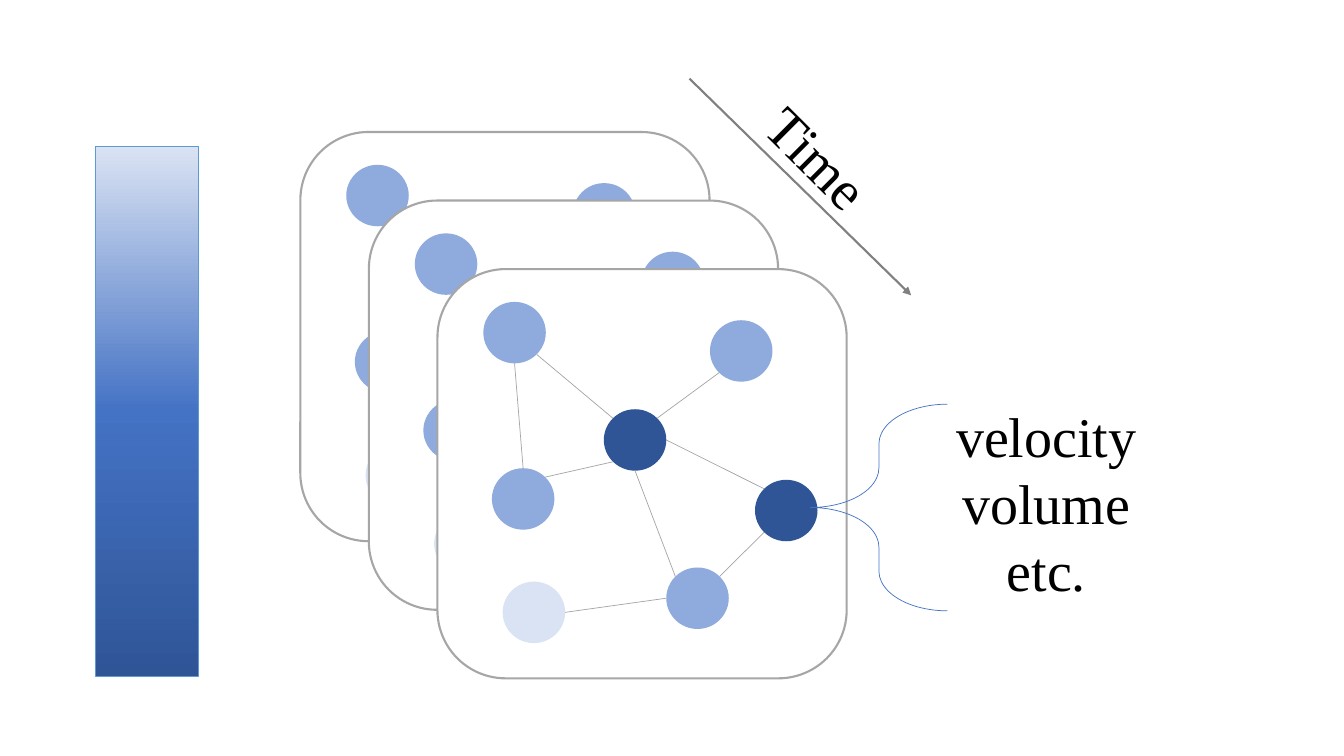
"""Build a slide of stacked network panels that change over time."""
import copy
import dataclasses
import enum

import pptx
import pptx.dml.color
import pptx.enum.shapes
import pptx.enum.text
import pptx.oxml.ns
import pptx.oxml.xmlchemy
import pptx.shapes.autoshape
import pptx.shapes.connector
import pptx.slide
import pptx.util

RGBColor = pptx.dml.color.RGBColor
MSO_SHAPE = pptx.enum.shapes.MSO_SHAPE
PP_ALIGN = pptx.enum.text.PP_ALIGN
OxmlElement = pptx.oxml.xmlchemy.OxmlElement
qn = pptx.oxml.ns.qn

BLACK = RGBColor(0x00, 0x00, 0x00)
WHITE = RGBColor(0xFF, 0xFF, 0xFF)
PALE = RGBColor(0xDA, 0xE3, 0xF3)
LIGHT = RGBColor(0x8F, 0xAA, 0xDC)
MID = RGBColor(0x44, 0x72, 0xC4)
DARK = RGBColor(0x2F, 0x55, 0x97)
BAR_EDGE = RGBColor(0x5B, 0x9B, 0xD5)
PANEL_EDGE = RGBColor(0xA6, 0xA6, 0xA6)
LINK_GREY = RGBColor(0xA5, 0xA5, 0xA5)
ARROW_GREY = RGBColor(0x80, 0x80, 0x80)

COLS, ROWS = 80, 45
CELL = pptx.util.Inches(7.5) / ROWS
PANEL_SIZE = 24.36
PANEL_STEP = 4.08
PANEL_LEFT, PANEL_TOP = 17.88, 7.86
NODE_W, NODE_H = 3.72, 3.66
DIAGONAL = 0.71


class Side(enum.Enum):
    TOP = (0, -1)
    RIGHT = (1, 0)
    BOTTOM = (0, 1)
    LEFT = (-1, 0)
    TOP_LEFT = (-DIAGONAL, -DIAGONAL)
    TOP_RIGHT = (DIAGONAL, -DIAGONAL)
    BOTTOM_LEFT = (-DIAGONAL, DIAGONAL)
    BOTTOM_RIGHT = (DIAGONAL, DIAGONAL)


@dataclasses.dataclass(frozen=True)
class Box:
    col: float
    row: float
    cols: float
    rows: float


@dataclasses.dataclass(frozen=True)
class Node:
    col: float
    row: float
    color: RGBColor

    def box(self, panel: Box) -> Box:
        return Box(panel.col + self.col, panel.row + self.row, NODE_W, NODE_H)

    def site(self, panel: Box, side: Side) -> tuple[float, float]:
        dx, dy = side.value
        return (panel.col + self.col + NODE_W / 2 * (1 + dx),
                panel.row + self.row + NODE_H / 2 * (1 + dy))


@dataclasses.dataclass(frozen=True)
class Link:
    start: Node
    start_side: Side
    end: Node
    end_side: Side


UPPER_LEFT = Node(2.73, 1.95, LIGHT)
MIDDLE_LEFT = Node(3.24, 11.85, LIGHT)
UPPER_RIGHT = Node(16.22, 3.04, LIGHT)
LOWER_LEFT = Node(3.88, 18.6, PALE)
HUB = Node(9.9, 8.34, DARK)
MEASURED = Node(18.9, 12.54, DARK)
LOWER_RIGHT = Node(13.62, 17.76, LIGHT)

BACK_NODES = [UPPER_LEFT, MIDDLE_LEFT, UPPER_RIGHT, LOWER_LEFT]
PANELS = [BACK_NODES, BACK_NODES, BACK_NODES + [HUB, MEASURED, LOWER_RIGHT]]
LINKS = [
    Link(UPPER_LEFT, Side.BOTTOM_RIGHT, HUB, Side.TOP_LEFT),
    Link(UPPER_RIGHT, Side.BOTTOM_LEFT, HUB, Side.TOP_RIGHT),
    Link(HUB, Side.RIGHT, MEASURED, Side.TOP_LEFT),
    Link(MEASURED, Side.BOTTOM_LEFT, LOWER_RIGHT, Side.TOP_RIGHT),
    Link(LOWER_RIGHT, Side.TOP_LEFT, HUB, Side.BOTTOM),
    Link(HUB, Side.BOTTOM_LEFT, MIDDLE_LEFT, Side.TOP_RIGHT),
    Link(UPPER_LEFT, Side.BOTTOM, MIDDLE_LEFT, Side.TOP),
    Link(LOWER_RIGHT, Side.LEFT, LOWER_LEFT, Side.RIGHT),
]


def grid(cells: float) -> pptx.util.Emu:
    return pptx.util.Emu(round(cells * CELL))


def place(box: Box) -> list[pptx.util.Emu]:
    return [grid(v) for v in dataclasses.astuple(box)]


def add_shape(s: pptx.slide.Slide, kind: MSO_SHAPE, box: Box,
              fill: RGBColor | None = None, edge: RGBColor | None = None,
              weight: float = 0.5) -> pptx.shapes.autoshape.Shape:
    sp = s.shapes.add_shape(kind, *place(box))
    sp.shadow.inherit = False
    if fill is None:
        sp.fill.background()
    else:
        sp.fill.solid()
        sp.fill.fore_color.rgb = fill
    if edge is None:
        sp.line.fill.background()
    else:
        sp.line.color.rgb = edge
        sp.line.width = pptx.util.Pt(weight)
    return sp


def add_line(s: pptx.slide.Slide, start: tuple[float, float],
             end: tuple[float, float], color: RGBColor,
             weight: float) -> pptx.shapes.connector.Connector:
    points = [grid(v) for v in (*start, *end)]
    cxn = s.shapes.add_connector(pptx.enum.shapes.MSO_CONNECTOR.STRAIGHT, *points)
    cxn.line.color.rgb = color
    cxn.line.width = pptx.util.Pt(weight)
    cxn._element.spPr.append(OxmlElement("a:effectLst"))
    return cxn


def add_text(s: pptx.slide.Slide, box: Box, lines: list[str], align: PP_ALIGN,
             wrap: bool = True, rotation: float = 0) -> None:
    sp = s.shapes.add_textbox(*place(box))
    sp.rotation = rotation
    tf = sp.text_frame
    tf.word_wrap = wrap
    tf.auto_size = pptx.enum.text.MSO_AUTO_SIZE.SHAPE_TO_FIT_TEXT
    tf.text = "\n".join(lines)
    for p in tf.paragraphs:
        p.alignment = align
        p.font.name = "Times New Roman"
        p.font.size = pptx.util.Pt(40)
        p.font.color.rgb = BLACK


def add_panels(s: pptx.slide.Slide) -> None:
    for i, nodes in enumerate(PANELS):
        panel = Box(PANEL_LEFT + i * PANEL_STEP, PANEL_TOP + i * PANEL_STEP,
                    PANEL_SIZE, PANEL_SIZE)
        add_shape(s, MSO_SHAPE.ROUNDED_RECTANGLE, panel, WHITE, PANEL_EDGE, 1.5)
        for node in nodes:
            add_shape(s, MSO_SHAPE.OVAL, node.box(panel), node.color)
    for link in LINKS:
        add_line(s, link.start.site(panel, link.start_side),
                 link.end.site(panel, link.end_side), LINK_GREY, 0.5)


def add_time_arrow(s: pptx.slide.Slide) -> None:
    arrow = add_line(s, (41.04, 4.68), (54.24, 17.58), ARROW_GREY, 1.5)
    tail = OxmlElement("a:tailEnd")
    tail.set("type", "triangle")
    arrow._element.spPr.find(qn("a:ln")).append(tail)
    add_text(s, Box(44.64, 7.08, 8.22, 4.62), ["Time"], PP_ALIGN.LEFT,
             wrap=False, rotation=44.9)


def add_color_scale(s: pptx.slide.Slide) -> None:
    sp = add_shape(s, MSO_SHAPE.RECTANGLE, Box(5.7, 8.7, 6.1, 31.56), MID, BAR_EDGE)
    sp.fill.gradient()
    sp.fill.gradient_angle = 270
    stops = sp._element.spPr.find(f".//{qn('a:gsLst')}")
    stops.insert(1, copy.deepcopy(stops[0]))
    for stop, color, position in zip(sp.fill.gradient_stops, (PALE, MID, DARK), (0, 0.5, 1)):
        stop.color.rgb = color
        stop.position = position


def main() -> None:
    prs = pptx.Presentation()
    prs.slide_width, prs.slide_height = grid(COLS), grid(ROWS)
    s = prs.slides.add_slide(prs.slide_layouts[6])
    add_panels(s)
    add_time_arrow(s)
    add_color_scale(s)
    add_text(s, Box(52.44, 23.58, 19.68, 12.72), ["velocity", "volume", "etc."], PP_ALIGN.CENTER)
    brace = add_shape(s, MSO_SHAPE.LEFT_BRACE, Box(48.24, 24.06, 8.16, 12.3), edge=MID)
    brace.adjustments[0] = 0.29
    prs.save("out.pptx")


if __name__ == "__main__":
    main()
